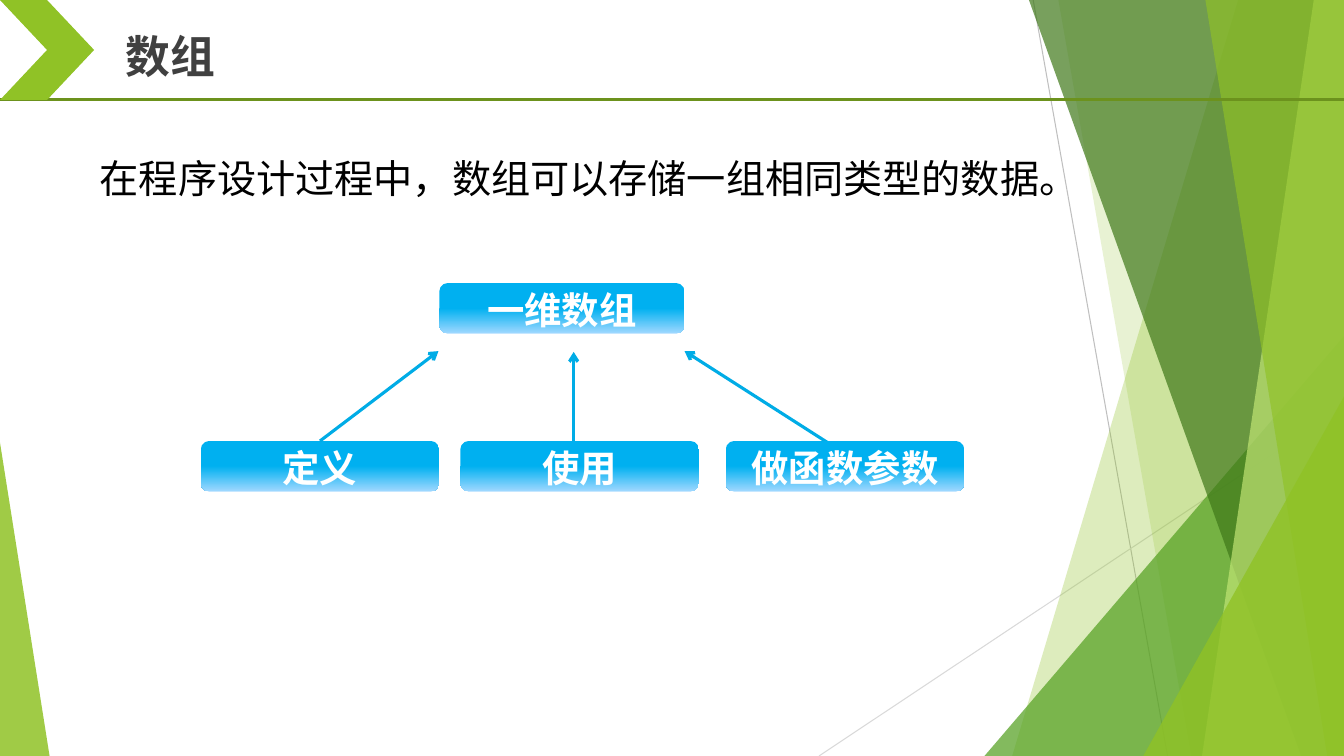
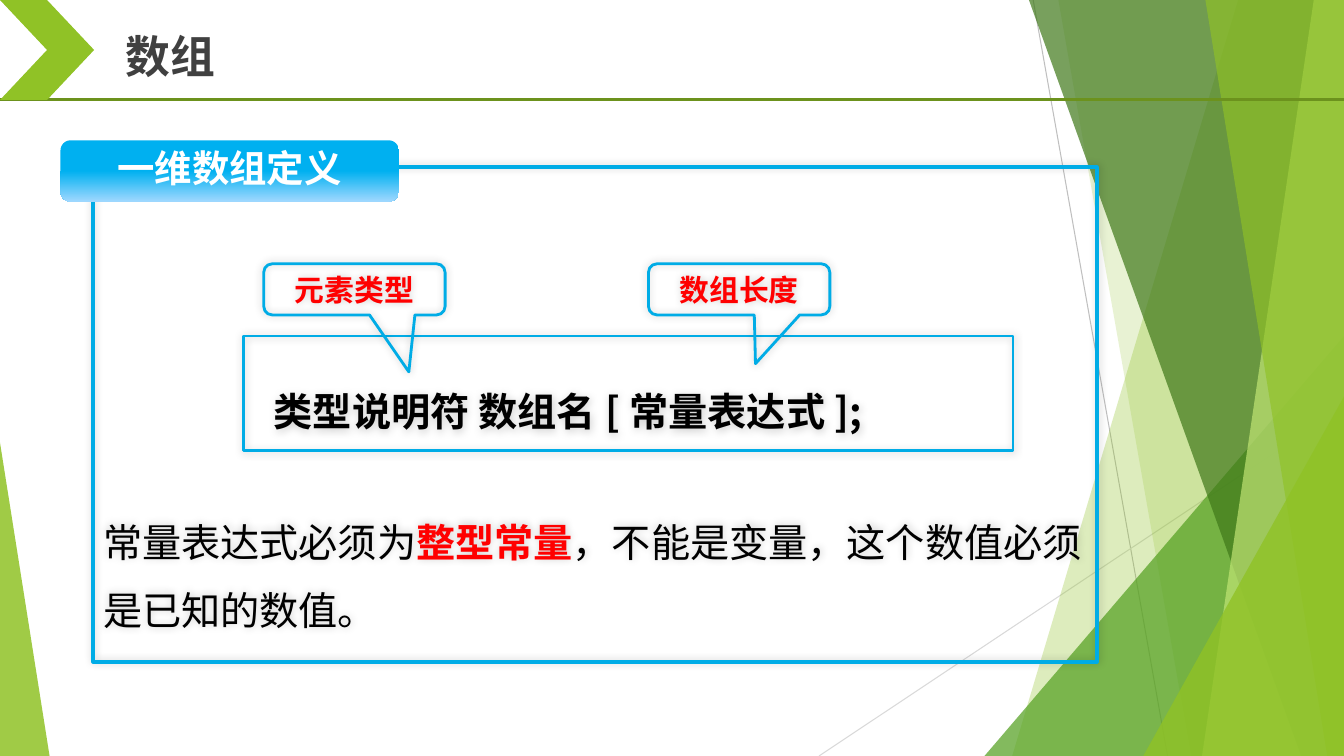
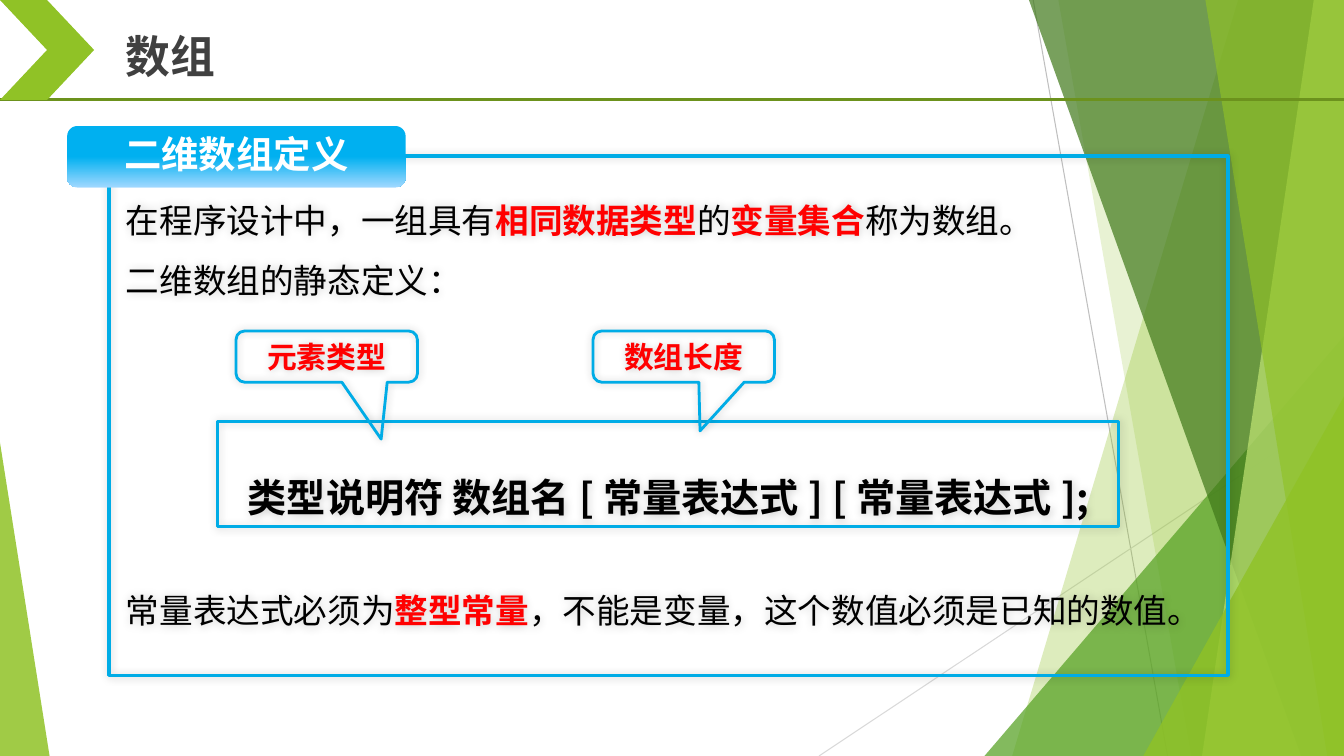
from copy import deepcopy
from dataclasses import dataclass

from lxml.etree import SubElement
from pptx import Presentation
from pptx.dml.color import RGBColor
from pptx.enum.shapes import MSO_CONNECTOR as Connector, MSO_SHAPE as Preset
from pptx.enum.text import MSO_ANCHOR as Anchor, PP_ALIGN as Align
from pptx.oxml.ns import qn
from pptx.util import Emu, Inches, Pt

COLUMNS, ROWS = 160, 90
WIDTH, HEIGHT = Inches(COLUMNS / 12), Inches(ROWS / 12)


@dataclass(frozen=True)
class TextStyle:
    size: float
    leading: float
    color: str
    bold: bool = False
    align: Align = Align.LEFT


@dataclass(frozen=True)
class Theme:
    font: str = "Noto Sans CJK SC"
    lime: str = "90C226"
    green: str = "54A021"
    forest: str = "3F7819"
    pale: str = "C0E474"
    rule: str = "6C921D"
    grays: tuple = ("BFBFBF", "D9D9D9")
    outline: str = "00ACE6"
    gradient: tuple = ((0, "00B0F0"), (0.5, "00B0F0"), (1, "9FD8FF"))
    accent: str = "FF0000"
    title: TextStyle = TextStyle(32, 38, "404040", True)
    lead: TextStyle = TextStyle(28, 51, "000000")
    note: TextStyle = TextStyle(28, 49, "000000")
    body: TextStyle = TextStyle(24, 43, "000000")
    formula: TextStyle = TextStyle(28, 67, "000000", True)
    label: TextStyle = TextStyle(26.7, 30, "FFFFFF", True, Align.CENTER)
    hint: TextStyle = TextStyle(21.3, 26, "FF0000", True, Align.CENTER)


THEME = Theme()


def across(columns):
    return Emu(round(WIDTH * columns / COLUMNS))


def down(rows):
    return Emu(round(HEIGHT * rows / ROWS))


def place(left, top, width, height):
    return across(left), down(top), across(width), down(height)


def rgb(color):
    return RGBColor.from_string(color)


def paint(shape, color, opacity=100):
    shape.shadow.inherit = False
    shape.line.fill.background()
    shape.fill.solid()
    shape.fill.fore_color.rgb = rgb(color)
    if opacity < 100:
        tint = shape.element.spPr.find(f"{qn('a:solidFill')}/{qn('a:srgbClr')}")
        SubElement(tint, qn("a:alpha"), val=str(opacity * 1000))


def paint_gradient(shape):
    shape.shadow.inherit = False
    shape.line.fill.background()
    shape.fill.gradient()
    shape.fill.gradient_angle = 270
    stop_list = shape.element.spPr.find(f".//{qn('a:gsLst')}")
    stop_list.insert(1, deepcopy(stop_list[0]))
    for stop, (position, color) in zip(shape.fill.gradient_stops, THEME.gradient):
        stop.position = position
        stop.color.rgb = rgb(color)


def outline(shape, width):
    shape.fill.background()
    shape.line.color.rgb = rgb(THEME.outline)
    shape.line.width = Pt(width)
    shape.shadow.inherit = False
    effects = shape.element.spPr.find(qn("a:effectLst"))
    glow = SubElement(effects, qn("a:outerShdw"), blurRad=str(Pt(6)), dist="0",
                      dir="13500000", algn="ctr", rotWithShape="0")
    black = SubElement(glow, qn("a:srgbClr"), val="000000")
    SubElement(black, qn("a:alpha"), val="20000")


def write(shape, style, *lines, left=1.2, top=0.6, gaps=()):
    frame = shape.text_frame
    frame.word_wrap = True
    frame.vertical_anchor = Anchor.TOP
    frame.margin_left, frame.margin_right = across(left), across(0.6)
    if style.align == Align.CENTER:
        frame.margin_left = frame.margin_right = 0
    frame.margin_top, frame.margin_bottom = down(top), 0
    for index, line in enumerate(lines):
        para = frame.add_paragraph() if index else frame.paragraphs[0]
        para.alignment = style.align
        para.line_spacing = Pt(style.leading)
        if index < len(gaps):
            para.space_before = down(gaps[index])
        para.font.size = Pt(style.size)
        para.font.bold = style.bold
        para.font.color.rgb = rgb(style.color)
        para.font.name = THEME.font
        for part, words in enumerate(line.split("*")):
            span = para.add_run()
            span.text = words
            if part % 2:
                span.font.bold = True
                span.font.color.rgb = rgb(THEME.accent)
    for latin in list(shape.element.iter(qn("a:latin"))):
        SubElement(latin.getparent(), qn("a:ea"), typeface=THEME.font)


def add_line(page, start, end, color, width, arrow=False):
    line = page.shapes.add_connector(
        Connector.STRAIGHT, across(start[0]), down(start[1]), across(end[0]), down(end[1]))
    line.line.color.rgb = rgb(color)
    line.line.width = Pt(width)
    if arrow:
        SubElement(line.element.spPr.find(qn("a:ln")), qn("a:tailEnd"), type="arrow")
    SubElement(line.element.spPr, qn("a:effectLst"))
    return line


def add_arrow(page, start, end):
    return add_line(page, start, end, THEME.outline, 2.25, arrow=True)


def add_band(page, top_column, bottom_column, color, opacity):
    builder = page.shapes.build_freeform(across(top_column), 0)
    builder.add_line_segments(
        [(WIDTH, 0), (WIDTH, HEIGHT), (across(bottom_column), HEIGHT)], close=True)
    paint(builder.convert_to_shape(), color, opacity)


def add_triangle(page, area, apex, color, opacity):
    triangle = page.shapes.add_shape(Preset.ISOSCELES_TRIANGLE, *place(*area))
    triangle.adjustments[0] = apex
    paint(triangle, color, opacity)


def add_text(page, area, style, text):
    write(page.shapes.add_textbox(*place(*area)), style, text)


def add_label(page, area, text):
    label = page.shapes.add_shape(Preset.ROUNDED_RECTANGLE, *place(*area))
    paint_gradient(label)
    write(label, THEME.label, text)
    return label


def add_frame(page, area, width, style, *lines, **spacing):
    frame = page.shapes.add_shape(Preset.RECTANGLE, *place(*area))
    outline(frame, width)
    write(frame, style, *lines, **spacing)


def add_hint(page, left, top, pointer, text):
    hint = page.shapes.add_shape(
        Preset.ROUNDED_RECTANGULAR_CALLOUT, *place(left, top, 21.6, 6.1))
    for index, value in enumerate((*pointer, 0.17)):
        hint.adjustments[index] = value
    outline(hint, 2)
    write(hint, THEME.hint, text)


def add_backdrop(page):
    add_line(page, (123, 0), (139, 90), THEME.grays[0], 0.75)
    add_line(page, (160, 48.4), (97.5, 90), THEME.grays[1], 0.75)
    add_band(page, 147.4, 120.5, THEME.lime, 30)
    add_band(page, 126, 141.8, THEME.lime, 20)
    add_triangle(page, (117.2, 40, 42.8, 50), 1, THEME.green, 72)
    add_band(page, 122.5, 154.9, THEME.forest, 70)
    add_band(page, 156.4, 143.1, THEME.pale, 70)
    add_band(page, 143.5, 158, THEME.lime, 65)
    add_triangle(page, (136.1, 47.2, 23.9, 42.8), 1, THEME.lime, 80)
    add_triangle(page, (0, 52.7, 5.9, 37.3), 0, THEME.lime, 85)


def move_to_layout(page, layout):
    tree = layout.shapes.element
    for holder in list(layout.placeholders):
        tree.remove(holder.element)
    for shape in list(page.shapes):
        tree.append(shape.element)


def add_header(page, title):
    add_line(page, (0, 11.9), (160, 11.9), THEME.rule, 2.25)
    paint(page.shapes.add_shape(Preset.CHEVRON, *place(0, 0, 11.2, 11.9)), THEME.lime)
    add_text(page, (13.8, 2.9, 52, 7.7), THEME.title, title)


def add_overview(page):
    top, width, height = 52.5, 28.4, 6
    add_label(page, (52.3, 33.7, 29.2, height), "一维数组")
    add_arrow(page, (101.2, 54.4), (81.5, 41.8))
    topics = [add_label(page, (left, top, width, height), text) for left, text in
              ((23.9, "定义"), (54.8, "使用"), (86.4, "做函数参数"))]
    add_arrow(page, (38.1, top), (52.2, 41.8)).begin_connect(topics[0], 0)
    add_arrow(page, (68.3, top), (68.3, 41.9))
    add_text(page, (10.7, 14.9, 119.8, 9.7), THEME.lead,
             "在程序设计过程中，数组可以存储一组相同类型的数据。")


def add_definition(page, tab, heading, formula_area, formula, hint_lefts, hint_top):
    add_label(page, (*tab, 40.3, 7.3), heading)
    add_frame(page, formula_area, 2, THEME.formula, formula, left=3.6)
    pointers = ((0.3, 1.61), (0.09, 1.45))
    for left, pointer, text in zip(hint_lefts, pointers, ("元素类型", "数组长度")):
        add_hint(page, left, hint_top, pointer, text)


def main():
    deck = Presentation()
    deck.slide_width, deck.slide_height = WIDTH, HEIGHT
    layout = deck.slide_layouts[6]
    overview, single, double = pages = [deck.slides.add_slide(layout) for _ in range(3)]
    add_backdrop(overview)
    move_to_layout(overview, layout)

    constant_rule = "常量表达式必须为*整型常量*，不能是变量，这个数值必须是已知的数值。"
    add_overview(overview)
    add_frame(single, (11.1, 19.9, 119.5, 58.9), 2.5, THEME.note, constant_rule, top=39.2)
    add_definition(single, (7.2, 16.7), "一维数组定义", (29, 40, 91.6, 13.6),
                   "类型说明符 数组名[常量表达式];", (31.4, 77.2), 31.4)
    add_frame(double, (13, 18.6, 133.2, 61.8), 2.5, THEME.body,
              "在程序设计中，一组具有*相同数据类型*的*变量集合*称为数组。",
              "二维数组的静态定义：", constant_rule,
              left=2, top=2.8, gaps=(0, 0, 32.1))
    add_definition(double, (8, 15), "二维数组定义", (25.9, 50.2, 107.3, 12.5),
                   "类型说明符 数组名[常量表达式] [常量表达式];", (28.1, 70.6), 39.4)
    for page in pages:
        add_header(page, "数组")
    deck.save("out.pptx")


if __name__ == "__main__":
    main()
